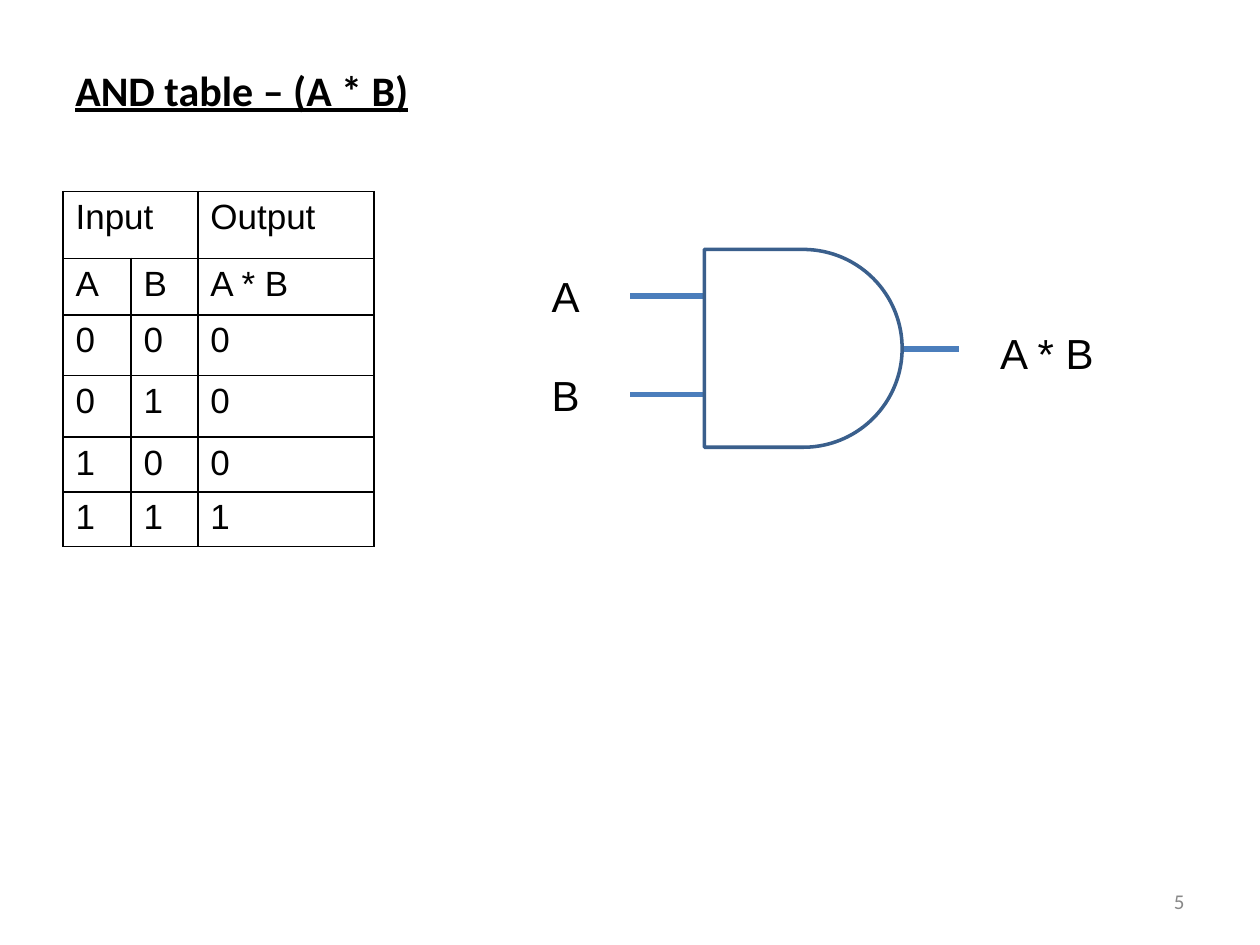
import pptx
import pptx.dml.color
import pptx.enum.shapes
import pptx.enum.text
import pptx.oxml
import pptx.oxml.ns
import pptx.util
from pptx.util import Inches

COLORS = {
    "text": "000000",
    "number": "888888",
    "wire": "4B7EBC",
    "gate_fill": "FFFFFF",
    "gate_line": "3A5F8C",
    "border": "000000",
}
ALIGN = pptx.enum.text.PP_ALIGN
ANCHOR = pptx.enum.text.MSO_ANCHOR


def rgb(name):
    return pptx.dml.color.RGBColor.from_string(COLORS[name])


def write(frame, text, size=24, font="Arial", color="text", bold=False,
          underline=False, align=ALIGN.LEFT):
    paragraph = frame.paragraphs[0]
    paragraph.alignment = align
    run = paragraph.add_run()
    run.text = text
    run.font.size = pptx.util.Pt(size)
    run.font.name = font
    run.font.bold = bold
    run.font.underline = underline
    run.font.color.rgb = rgb(color)


def add_label(slide, text, left, top, width, height, anchor=ANCHOR.TOP, **style):
    label = slide.shapes.add_textbox(
        Inches(left), Inches(top), Inches(width), Inches(height))
    label.text_frame.word_wrap = True
    label.text_frame.vertical_anchor = anchor
    write(label.text_frame, text, **style)


def set_borders(cell, points=1):
    properties = cell._tc.get_or_add_tcPr()
    for side in ("lnL", "lnR", "lnT", "lnB"):
        properties.append(pptx.oxml.parse_xml(
            f'<a:{side} {pptx.oxml.ns.nsdecls("a")} w="{pptx.util.Pt(points)}">'
            f'<a:solidFill><a:srgbClr val="{COLORS["border"]}"/></a:solidFill>'
            f'</a:{side}>'))


def add_truth_table(slide, rows, left, top, widths, heights):
    table = slide.shapes.add_table(
        len(rows), len(widths), Inches(left), Inches(top),
        Inches(sum(widths)), Inches(sum(heights))).table
    table.first_row = False
    table.horz_banding = False
    for column, width in zip(table.columns, widths):
        column.width = Inches(width)
    for row, height in zip(table.rows, heights):
        row.height = Inches(height)
    table.cell(0, 0).merge(table.cell(0, 1))
    for r, values in enumerate(rows):
        for c, value in enumerate(values):
            cell = table.cell(r, c)
            set_borders(cell)
            cell.fill.background()
            if value:
                write(cell.text_frame, value, size=20)


def add_wire(slide, left, y, length=0.81):
    wire = slide.shapes.add_connector(
        pptx.enum.shapes.MSO_CONNECTOR.STRAIGHT,
        Inches(left), Inches(y), Inches(left + length), Inches(y))
    wire.line.color.rgb = rgb("wire")
    wire.line.width = pptx.util.Pt(3)
    wire._element.spPr.append(pptx.oxml.parse_xml(
        f'<a:effectLst {pptx.oxml.ns.nsdecls("a")}/>'))


def add_gate(slide, left, top, size):
    gate = slide.shapes.add_shape(
        pptx.enum.shapes.MSO_SHAPE.FLOWCHART_DELAY,
        Inches(left), Inches(top), Inches(size), Inches(size))
    gate.shadow.inherit = False
    gate.fill.solid()
    gate.fill.fore_color.rgb = rgb("gate_fill")
    gate.line.color.rgb = rgb("gate_line")
    gate.line.width = pptx.util.Pt(2)


def main():
    deck = pptx.Presentation()
    deck.slide_width, deck.slide_height = Inches(10), Inches(7.5)
    slide = deck.slides.add_slide(deck.slide_layouts[6])

    # Title and page number
    add_label(slide, "AND table – (A * B)", 0.5, 0.46, 9.32, 0.91,
              font="Calibri", bold=True, underline=True)
    add_label(slide, "5", 7.17, 6.95, 2.33, 0.4, anchor=ANCHOR.MIDDLE,
              size=12, font="Calibri", color="number", align=ALIGN.RIGHT)

    # Truth table
    outcomes = [(str(a), str(b), str(a & b)) for a in (0, 1) for b in (0, 1)]
    add_truth_table(
        slide, [("Input", "", "Output"), ("A", "B", "A * B"), *outcomes],
        0.5, 1.52, widths=[0.54, 0.53, 1.4],
        heights=[0.53, 0.45, 0.48, 0.49, 0.32, 0.32])

    # Gate diagram: the wires run behind the gate
    for name, y in (("A", 2.35), ("B", 3.13)):
        add_label(slide, name, 4.28, y - 0.25, 0.43, 0.5)
        add_wire(slide, 5, y)
    add_wire(slide, 6.8, 2.77)
    add_gate(slide, 5.59, 1.98, 1.57)
    add_label(slide, "A * B", 7.84, 2.55, 1.16, 0.5)

    deck.save("out.pptx")


if __name__ == "__main__":
    main()
